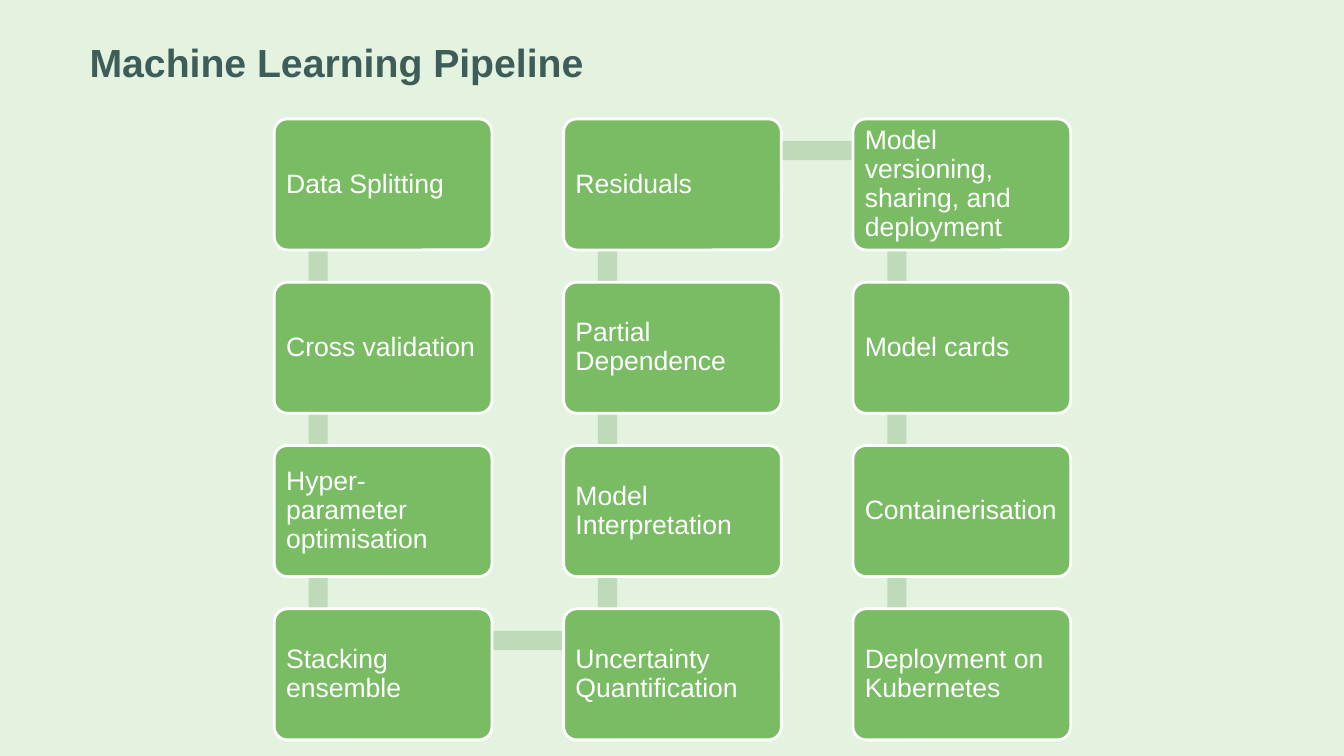
import pptx
import pptx.util
import pptx.dml.color
import pptx.enum.shapes
import pptx.enum.text

Inches = pptx.util.Inches
Pt = pptx.util.Pt
KINDS = pptx.enum.shapes.MSO_SHAPE
ALIGN = pptx.enum.text.PP_ALIGN
MIDDLE = pptx.enum.text.MSO_ANCHOR.MIDDLE

COLORS = {"back": "E4F2E0", "title": "3E5D58", "card": "79BC64",
          "bar": "BEDAB8", "white": "FFFFFF"}
COLUMNS = [
    ["Data Splitting", "Cross validation", "Hyper-parameter optimisation",
     "Stacking ensemble"],
    ["Residuals", "Partial Dependence", "Model Interpretation",
     "Uncertainty Quantification"],
    ["Model versioning, sharing, and deployment", "Model cards",
     "Containerisation", "Deployment on Kubernetes"],
]
LEFT, TOP = 2.72, 1.18
STEP_X, STEP_Y = 2.87, 1.62
CARD_W, CARD_H = 2.16, 1.3
THICK = 0.19


def color(name):
    """Return the named colour."""
    return pptx.dml.color.RGBColor.from_string(COLORS[name])


def apply(target, values):
    """Set each attribute in a dict of format values."""
    for name, value in values.items():
        setattr(target, name, value)


def write(shape, text, size, tint, frame, para):
    """Put one formatted paragraph in a shape."""
    apply(shape.text_frame, {"word_wrap": True, "vertical_anchor": MIDDLE, **frame})
    line = shape.text_frame.paragraphs[0]
    apply(line, {"alignment": ALIGN.LEFT, **para})
    run = line.add_run()
    run.text = text
    apply(run.font, {"name": "Arial", "size": Pt(size), "bold": tint == "title"})
    run.font.color.rgb = color(tint)


def add_box(slide, kind, area, fill):
    """Add a filled shape without line or shadow."""
    shape = slide.shapes.add_shape(kind, *map(Inches, area))
    shape.shadow.inherit = False
    shape.fill.solid()
    shape.fill.fore_color.rgb = color(fill)
    shape.line.fill.background()
    return shape


def add_title(slide, text):
    """Add the slide title."""
    box = slide.shapes.add_textbox(*map(Inches, (0.79, 0, 11.31, 1.23)))
    write(box, text, 28, "title", {}, {})


def add_card(slide, x, y, text):
    """Add one step of the pipeline."""
    card = add_box(slide, KINDS.ROUNDED_RECTANGLE, (x, y, CARD_W, CARD_H), "card")
    card.adjustments[0] = 0.1
    card.line.fill.solid()
    card.line.fill.fore_color.rgb = color("white")
    card.line.width = Pt(2)
    sides = ("left", "right", "top", "bottom")
    frame = {f"margin_{side}": Inches(0.08) for side in sides}
    write(card, text, 19, "white", frame, {"line_spacing": 0.9})


def spot(col, row):
    """Return the top left corner of a card."""
    return LEFT + col * STEP_X, TOP + row * STEP_Y


def add_bars(slide):
    """Add the bars that link the steps in a winding path."""
    last = len(COLUMNS[0]) - 1
    for col in range(len(COLUMNS)):
        for row in range(last):
            x, y = spot(col, row)
            add_box(slide, KINDS.RECTANGLE, (x + 0.34, y + 0.32, THICK, 1.61), "bar")
    for col in range(len(COLUMNS) - 1):
        x, y = spot(col, 0 if col % 2 else last)
        add_box(slide, KINDS.RECTANGLE, (x + 0.44, y + 0.22, 2.86, THICK), "bar")


def main():
    """Build and save the slide."""
    deck = pptx.Presentation()
    apply(deck, {"slide_width": Inches(13.33), "slide_height": Inches(7.5)})
    slide = deck.slides.add_slide(deck.slide_layouts[6])
    slide.background.fill.solid()
    slide.background.fill.fore_color.rgb = color("back")
    add_title(slide, "Machine Learning Pipeline")
    add_bars(slide)
    for col, steps in enumerate(COLUMNS):
        for row, text in enumerate(steps):
            add_card(slide, *spot(col, row), text)
    deck.save("out.pptx")


if __name__ == "__main__":
    main()
